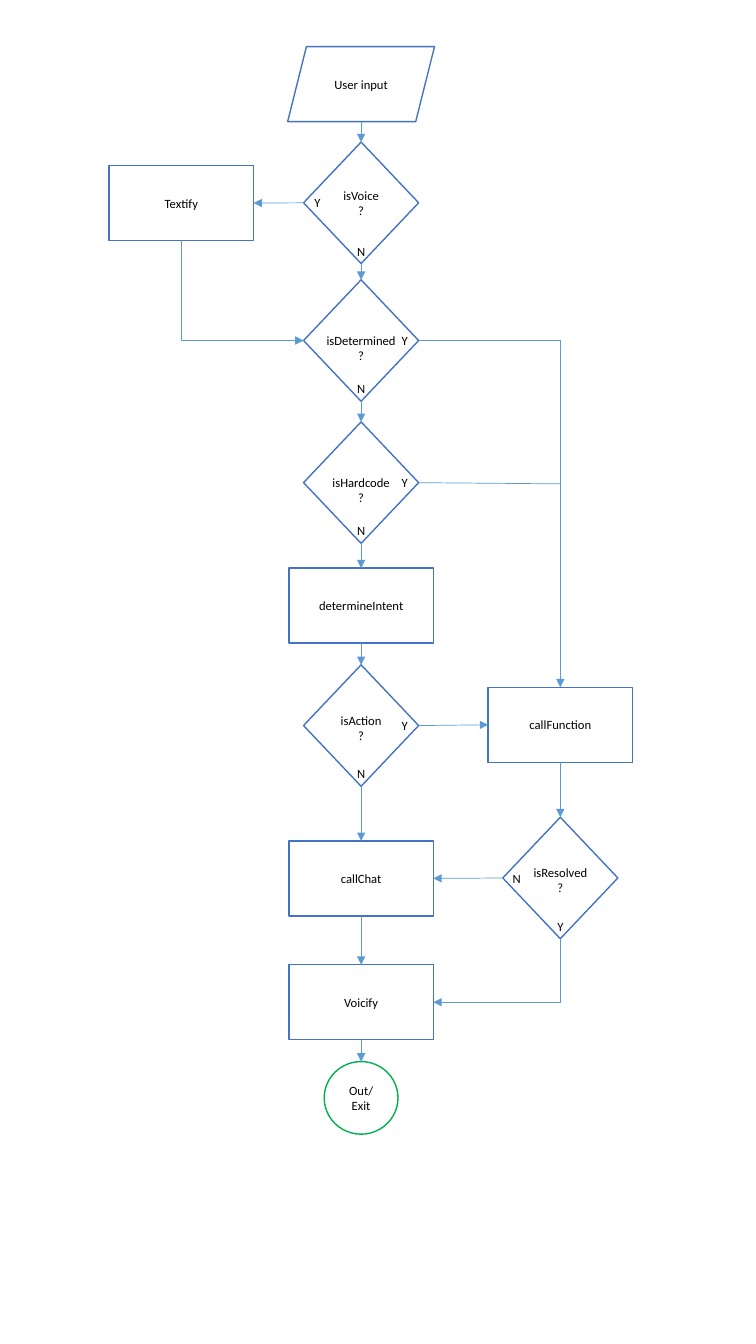
from dataclasses import dataclass

from lxml.etree import SubElement
from pptx import Presentation
from pptx.dml.color import RGBColor
from pptx.enum.shapes import MSO_CONNECTOR, MSO_SHAPE
from pptx.enum.text import MSO_ANCHOR, PP_ALIGN
from pptx.oxml.ns import qn
from pptx.util import Cm, Pt


@dataclass(frozen=True)
class Theme:
    font: str = "Calibri"
    text_size: float = 9
    text: str = "000000"
    fill: str = "FFFFFF"
    outline: str = "4472C4"
    exit_outline: str = "00B050"
    arrow: str = "5B9BD5"
    outline_width: float = 1
    arrow_width: float = 0.5


@dataclass(frozen=True)
class Box:
    left: float
    top: float
    width: float
    height: float

    @property
    def center(self):
        return self.left + self.width / 2

    @property
    def right(self):
        return self.left + self.width

    @property
    def bottom(self):
        return self.top + self.height

    @property
    def middle(self):
        return self.top + self.height / 2

    def lengths(self):
        return Cm(self.left), Cm(self.top), Cm(self.width), Cm(self.height)


THEME = Theme()
TOP, LEFT, BOTTOM, RIGHT = range(4)
STEP_SIZE = (3.64, 1.89)
INPUT_SIZE = (3.7, 1.89)
DECISION_SIZE = (2.9, 3.06)
EXIT_SIZE = (1.86, 1.83)
LABEL_SIZE = (0.7, 0.63)
QUESTION_SIZE = (2.24, 1.02)


def centered_box(center, middle, size):
    width, height = size
    return Box(center - width / 2, middle - height / 2, width, height)


def write_text(text_frame, text, wrap=True, anchor=MSO_ANCHOR.MIDDLE, alignment=PP_ALIGN.CENTER):
    text_frame.word_wrap = wrap
    text_frame.vertical_anchor = anchor
    paragraph = text_frame.paragraphs[0]
    paragraph.text = text
    paragraph.alignment = alignment
    for run in paragraph.runs:
        run.font.name = THEME.font
        run.font.size = Pt(THEME.text_size)
        run.font.color.rgb = RGBColor.from_string(THEME.text)


def add_node(slide, kind, box, text="", outline=THEME.outline):
    shape = slide.shapes.add_shape(kind, *box.lengths())
    shape.shadow.inherit = False
    shape.fill.solid()
    shape.fill.fore_color.rgb = RGBColor.from_string(THEME.fill)
    shape.line.color.rgb = RGBColor.from_string(outline)
    shape.line.width = Pt(THEME.outline_width)
    if text:
        write_text(shape.text_frame, text)
    return shape


def add_label(slide, box, text):
    label = slide.shapes.add_textbox(*box.lengths())
    write_text(label.text_frame, text, wrap=False, anchor=MSO_ANCHOR.TOP)


def add_step(slide, center, middle, text):
    return add_node(slide, MSO_SHAPE.RECTANGLE, centered_box(center, middle, STEP_SIZE), text)


def add_decision(slide, center, middle, branches, text="", question="", question_shift=0.0):
    box = centered_box(center, middle, DECISION_SIZE)
    diamond = add_node(slide, MSO_SHAPE.DIAMOND, box, text)
    if question:
        question_box = centered_box(center, middle + question_shift, QUESTION_SIZE)
        add_label(slide, question_box, question + "\n?")
    half_width, half_height = LABEL_SIZE[0] / 2, LABEL_SIZE[1] / 2
    places = {
        LEFT: (box.left + half_width, middle),
        RIGHT: (box.right - half_width, middle),
        BOTTOM: (center, box.bottom - half_height),
    }
    for side, answer in branches.items():
        add_label(slide, centered_box(*places[side], LABEL_SIZE), answer)
    return diamond


def side_point(shape, side):
    center = shape.left + shape.width // 2
    middle = shape.top + shape.height // 2
    return {
        TOP: (center, shape.top),
        LEFT: (shape.left, middle),
        BOTTOM: (center, shape.top + shape.height),
        RIGHT: (shape.left + shape.width, middle),
    }[side]


def format_connector(connector, arrowhead=True):
    connector.line.color.rgb = RGBColor.from_string(THEME.arrow)
    connector.line.width = Pt(THEME.arrow_width)
    properties = connector._element.spPr
    if arrowhead:
        SubElement(properties.find(qn("a:ln")), qn("a:tailEnd"), type="triangle")
    SubElement(properties, qn("a:effectLst"))


def add_arrow(slide, source, source_side, target, target_side):
    connector = slide.shapes.add_connector(
        MSO_CONNECTOR.STRAIGHT, *side_point(source, source_side), *side_point(target, target_side))
    if source.auto_shape_type != MSO_SHAPE.PARALLELOGRAM:
        connector.begin_connect(source, source_side)
    connector.end_connect(target, target_side)
    format_connector(connector)


def add_corner_arrow(slide, source, source_side, target, target_side):
    begin_x, begin_y = side_point(source, source_side)
    end_x, end_y = side_point(target, target_side)
    corners = begin_x, begin_y, end_x, end_y
    rotation = 0
    if source_side == BOTTOM:
        rotation = 270 if end_x > begin_x else 90
        center, middle = (begin_x + end_x) // 2, (begin_y + end_y) // 2
        half_width, half_height = abs(end_y - begin_y) // 2, abs(end_x - begin_x) // 2
        direction = 1 if rotation == 90 else -1
        corners = (center - direction * half_width, middle - half_height,
                   center + direction * half_width, middle + half_height)
    connector = slide.shapes.add_connector(MSO_CONNECTOR.ELBOW, *corners)
    properties = connector._element.spPr
    properties.find(qn("a:prstGeom")).set("prst", "bentConnector2")
    if rotation:
        properties.find(qn("a:xfrm")).set("rot", str(rotation * 60000))
    format_connector(connector)


def add_main_column(slide, box):
    center, top = box.center, box.top
    down_no = {BOTTOM: "N"}
    right_yes = {RIGHT: "Y", **down_no}
    user_input = add_node(
        slide, MSO_SHAPE.PARALLELOGRAM, centered_box(center, top + 0.94, INPUT_SIZE), "User input")
    nodes = {
        "input": user_input,
        "voice": add_decision(slide, center, top + 3.93, {LEFT: "Y", **down_no}, text="isVoice?"),
        "determined": add_decision(
            slide, center, top + 7.4, right_yes, question="isDetermined", question_shift=0.18),
        "hardcode": add_decision(
            slide, center, top + 10.98, right_yes, question="isHardcode", question_shift=0.18),
        "intent": add_step(slide, center, top + 14.08, "determineIntent"),
        "action": add_decision(
            slide, center, top + 17.1, right_yes, question="isAction", question_shift=0.06),
        "chat": add_step(slide, center, top + 20.95, "callChat"),
        "voicify": add_step(slide, center, top + 24.07, "Voicify"),
        "exit": add_node(
            slide, MSO_SHAPE.OVAL, centered_box(center, top + 26.48, EXIT_SIZE), "Out/\nExit",
            outline=THEME.exit_outline),
    }
    chain = list(nodes.values())
    for source, target in zip(chain, chain[1:]):
        add_arrow(slide, source, BOTTOM, target, TOP)
    return nodes


def add_textify_branch(slide, box, main):
    textify = add_step(slide, box.center, box.middle, "Textify")
    add_arrow(slide, main["voice"], LEFT, textify, RIGHT)
    add_corner_arrow(slide, textify, BOTTOM, main["determined"], LEFT)


def add_function_branch(slide, box, main):
    function = add_step(slide, box.center, box.top + 0.94, "callFunction")
    resolved = add_decision(slide, box.center, box.top + 4.8, {LEFT: "N", BOTTOM: "Y"},
                            question="isResolved", question_shift=0.06)
    add_corner_arrow(slide, main["determined"], RIGHT, function, TOP)
    hardcode_x, hardcode_y = side_point(main["hardcode"], RIGHT)
    merge_line = slide.shapes.add_connector(
        MSO_CONNECTOR.STRAIGHT, hardcode_x, hardcode_y, Cm(box.center), hardcode_y + Cm(0.03))
    merge_line.begin_connect(main["hardcode"], RIGHT)
    format_connector(merge_line, arrowhead=False)
    add_arrow(slide, main["action"], RIGHT, function, LEFT)
    add_arrow(slide, function, BOTTOM, resolved, TOP)
    add_arrow(slide, resolved, LEFT, main["chat"], RIGHT)
    add_corner_arrow(slide, resolved, BOTTOM, main["voicify"], RIGHT)


def main():
    presentation = Presentation()
    presentation.slide_width, presentation.slide_height = Cm(19.05), Cm(33.86)
    slide = presentation.slides.add_slide(presentation.slide_layouts[6])
    main_nodes = add_main_column(slide, Box(7.25, 1.18, 3.7, 27.4))
    add_textify_branch(slide, Box(2.75, 4.17, 3.64, 1.89), main_nodes)
    add_function_branch(slide, Box(12.3, 17.32, 3.64, 6.33), main_nodes)
    presentation.save("out.pptx")


if __name__ == "__main__":
    main()
